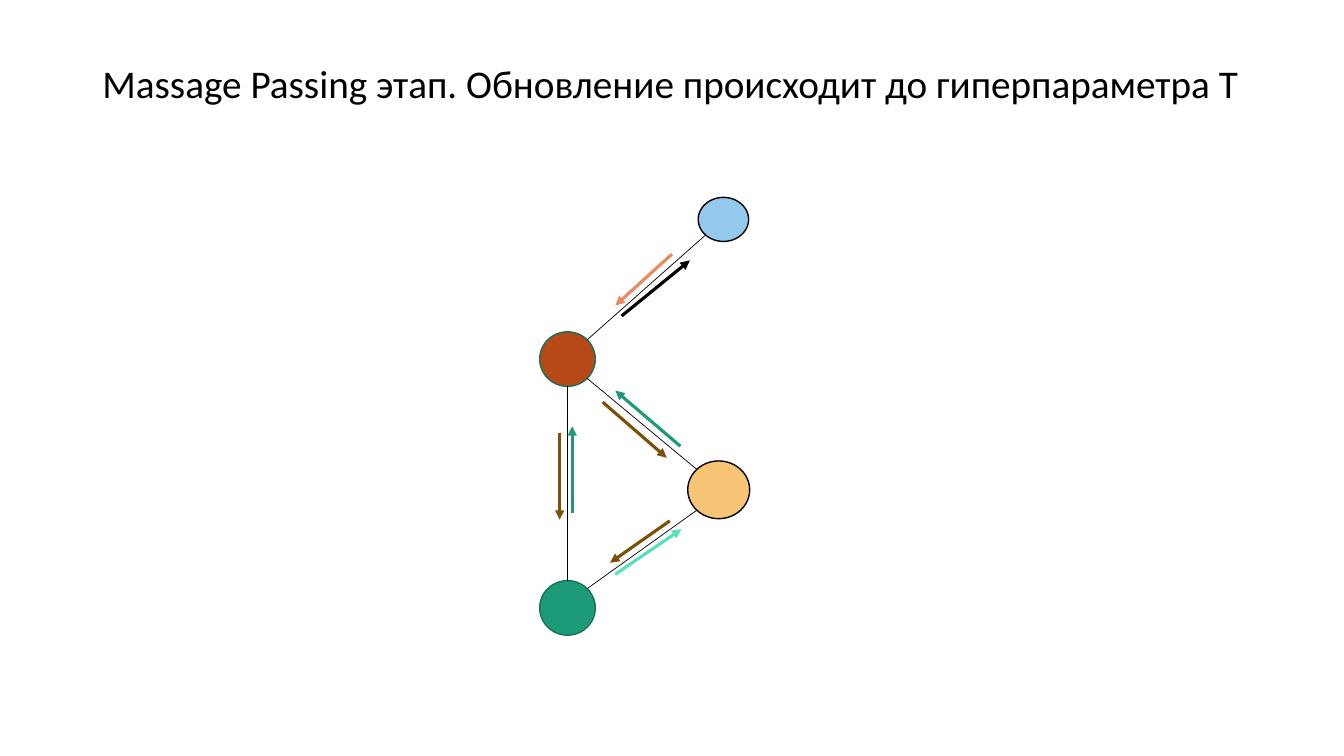
from dataclasses import dataclass
from math import sqrt

from lxml import etree
from pptx import Presentation, util as u
from pptx.dml.color import RGBColor
from pptx.enum import shapes, text
from pptx.oxml.ns import qn


@dataclass(frozen=True)
class Theme:
    font: str = "Calibri"
    title: float = 28
    thin: float = 0.5
    rim: float = 1
    bold: float = 2.25
    black: str = "000000"
    green: str = "1D9A78"
    pine: str = "157259"
    mint: str = "5AE0BB"
    sand: str = "F7C475"
    brown: str = "7D5008"
    rust: str = "B74919"
    coral: str = "E98960"
    blue: str = "94C8ED"


def px(n):
    return u.Emu(round(n * 9525))


def sign(n):
    return (n > 0) - (n < 0)


class Board:
    def __init__(self, slide, theme):
        self.slide = slide
        self.theme = theme

    def title(self, words, x, y, w, h):
        box = self.slide.shapes.title
        box.left, box.top, box.width, box.height = map(px, (x, y, w, h))
        frame = box.text_frame
        frame.text = words
        frame.word_wrap = True
        frame.auto_size = text.MSO_AUTO_SIZE.NONE
        frame.vertical_anchor = text.MSO_ANCHOR.MIDDLE
        para = frame.paragraphs[0]
        para.alignment = text.PP_ALIGN.LEFT
        para.line_spacing = 0.9
        font = para.runs[0].font
        font.name = self.theme.font
        font.size = u.Pt(self.theme.title)
        font.color.rgb = RGBColor.from_string(self.theme.black)

    def node(self, x, y, w, h, fill, rim):
        dot = self.slide.shapes.add_shape(
            shapes.MSO_SHAPE.OVAL, px(x), px(y), px(w), px(h))
        dot.shadow.inherit = False
        dot.fill.solid()
        dot.fill.fore_color.rgb = RGBColor.from_string(fill)
        dot.line.color.rgb = RGBColor.from_string(rim)
        dot.line.width = u.Pt(self.theme.rim)

    def line(self, start, end, color, width):
        link = self.slide.shapes.add_connector(
            shapes.MSO_CONNECTOR.STRAIGHT, *map(px, (*start, *end)))
        link.line.color.rgb = RGBColor.from_string(color)
        link.line.width = u.Pt(width)
        etree.SubElement(link._element.spPr, qn("a:effectLst"))
        return link

    def edge(self, one, two):
        (ax, ay, aw, ah), (bx, by, bw, bh) = one, two
        a = ax + aw / 2, ay + ah / 2
        b = bx + bw / 2, by + bh / 2
        dx, dy = sign(b[0] - a[0]), sign(b[1] - a[1])
        k = 0.5 / sqrt(dx * dx + dy * dy)
        start = a[0] + dx * aw * k, a[1] + dy * ah * k
        end = b[0] - dx * bw * k, b[1] - dy * bh * k
        self.line(start, end, self.theme.black, self.theme.thin)

    def arrow(self, start, end, color):
        link = self.line(start, end, color, self.theme.bold)
        etree.SubElement(link.line._get_or_add_ln(), qn("a:tailEnd"), type="triangle")


def main():
    deck = Presentation()
    deck.slide_width, deck.slide_height = px(1280), px(720)
    theme = Theme()
    board = Board(deck.slides.add_slide(deck.slide_layouts[5]), theme)
    board.title("Massage Passing этап. Обновление происходит до гиперпараметра T",
                88, 38, 1104, 88)

    low = 514, 553, 53, 52
    side = 655, 439, 59, 55
    hub = 514, 316, 53, 52
    top = 665, 188, 48, 42
    for place, fill, rim in (
        (low, theme.green, theme.pine),
        (side, theme.sand, theme.black),
        (hub, theme.rust, theme.pine),
        (top, theme.blue, theme.black),
    ):
        board.node(*place, fill, rim)

    for one, two in ((hub, side), (low, hub), (side, low), (top, hub)):
        board.edge(one, two)

    for start, end, color in (
        ((545, 489), (545, 406), theme.green),
        ((533, 412), (533, 495), theme.brown),
        ((638, 496), (581, 536), theme.brown),
        ((586, 547), (649, 504), theme.mint),
        ((592, 301), (657, 248), theme.black),
        ((640, 242), (586, 291), theme.coral),
        ((648, 425), (586, 372), theme.green),
        ((574, 383), (635, 436), theme.brown),
    ):
        board.arrow(start, end, color)

    deck.save("out.pptx")


if __name__ == "__main__":
    main()
